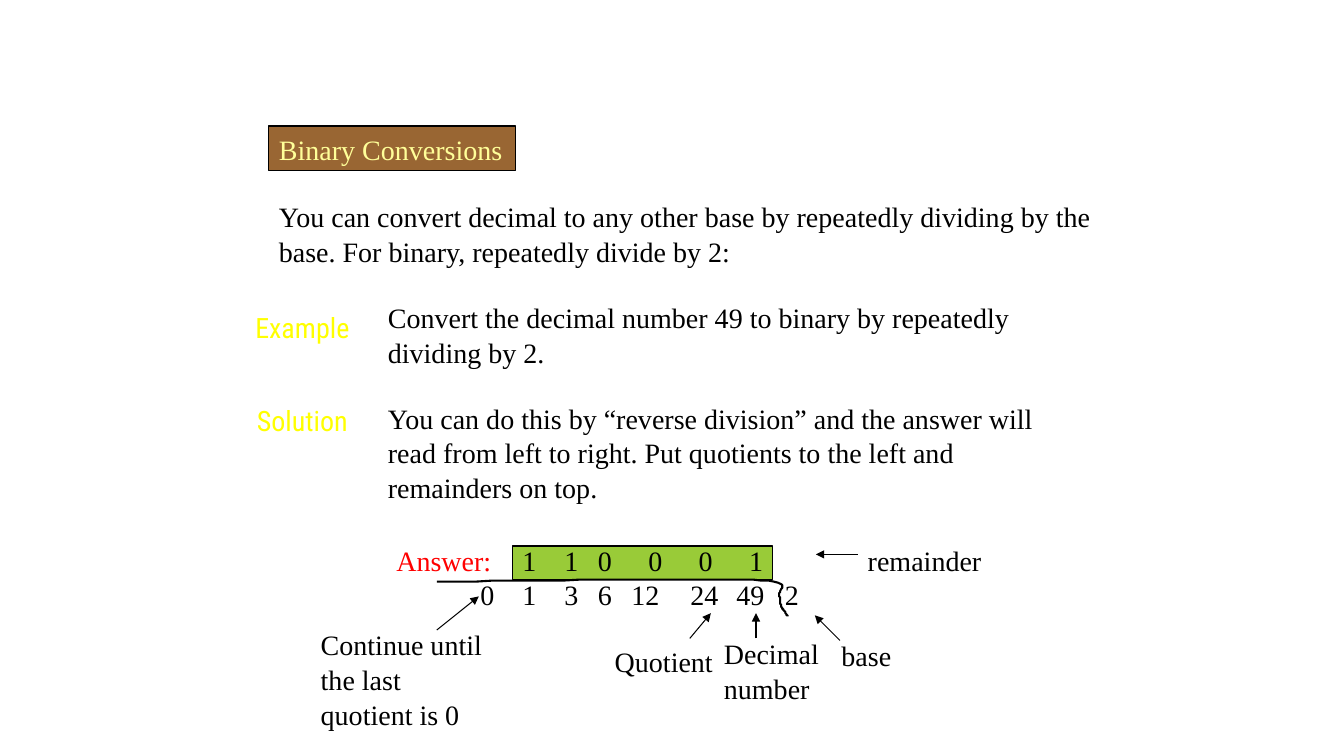
from dataclasses import dataclass

from lxml.etree import SubElement
from pptx import Presentation
from pptx.dml.color import RGBColor
from pptx.enum.shapes import MSO_CONNECTOR, MSO_SHAPE
from pptx.enum.text import MSO_ANCHOR, MSO_AUTO_SIZE, PP_ALIGN
from pptx.oxml.ns import qn
from pptx.util import Pt

PX = 9525  # EMU in one px, 96 px to the inch


@dataclass(frozen=True)
class Theme:
    ink: str = "000000"
    answer: str = "FF0000"
    heading: str = "FFFF00"
    title: str = "FFFF99"
    title_fill: str = "996633"
    answer_fill: str = "99CB38"
    serif: str = "Times New Roman"
    condensed: str = "Roboto Condensed"
    size: int = 20
    thin: float = 0.75
    thick: float = 1.5


THEME = Theme()


def write(shape, text, *, color=THEME.ink, font=THEME.serif, wrap=True,
          align=PP_ALIGN.LEFT, anchor=MSO_ANCHOR.TOP):
    frame = shape.text_frame
    frame.word_wrap = wrap
    frame.auto_size = MSO_AUTO_SIZE.NONE
    frame.vertical_anchor = anchor
    para = frame.paragraphs[0]
    para.alignment = align
    para.line_spacing = 1.04
    para.space_before = Pt(0)
    span = para.add_run()
    span.text = text
    span.font.name = font
    span.font.size = Pt(THEME.size)
    span.font.color.rgb = RGBColor.from_string(color)
    return para


def curve_points(start, segments, steps=12):
    """Points along a chain of cubic Bezier segments."""
    points = [start]
    for first, second, end in segments:
        for step in range(1, steps + 1):
            t = step / steps
            u = 1 - t
            points.append(tuple(
                u**3 * a + 3 * u * u * t * b + 3 * u * t * t * c + t**3 * d
                for a, b, c, d in zip(start, first, second, end)))
        start = end
    return points


class SlideBuilder:
    def __init__(self, page, theme):
        self.page = page
        self.theme = theme

    def place(self, shape, left, top, width, height):
        shape.left, shape.top, shape.width, shape.height = (
            value * PX for value in (left, top, width, height))

    def outline(self, shape, weight):
        shape.line.color.rgb = RGBColor.from_string(self.theme.ink)
        shape.line.width = Pt(weight)

    def paint(self, shape, color):
        shape.fill.solid()
        shape.fill.fore_color.rgb = RGBColor.from_string(color)
        self.outline(shape, self.theme.thin)

    def title(self, text, *bounds):
        shape = self.page.shapes.title
        self.place(shape, *bounds)
        self.paint(shape, self.theme.title_fill)
        write(shape, text, color=self.theme.title, wrap=False)

    def body(self, text, *bounds):
        shape = self.page.placeholders[1]
        self.place(shape, *bounds)
        properties = write(shape, text)._p.get_or_add_pPr()
        properties.set("marL", "0")
        properties.set("indent", "0")
        SubElement(properties, qn("a:buNone"))

    def text(self, text, left, top, width, height, **style):
        box = self.page.shapes.add_textbox(
            left * PX, top * PX, width * PX, height * PX)
        write(box, text, **style)

    def panel(self, left, top, width, height, color):
        shape = self.page.shapes.add_shape(
            MSO_SHAPE.RECTANGLE, left * PX, top * PX, width * PX, height * PX)
        shape.shadow.inherit = False
        self.paint(shape, color)

    def curve(self, start, segments):
        first, *rest = curve_points(start, segments)
        builder = self.page.shapes.build_freeform(*first, scale=PX)
        builder.add_line_segments(rest, close=False)
        shape = builder.convert_to_shape()
        shape.shadow.inherit = False
        shape.fill.background()
        self.outline(shape, self.theme.thick)

    def arrow(self, *ends):
        line = self.page.shapes.add_connector(
            MSO_CONNECTOR.STRAIGHT, *(value * PX for value in ends))
        self.outline(line, self.theme.thin)
        SubElement(line.line._get_or_add_ln(), qn("a:tailEnd"), type="triangle")
        SubElement(line._element.spPr, qn("a:effectLst"))


def main():
    deck = Presentation()
    deck.slide_width, deck.slide_height = 1280 * PX, 720 * PX
    page = deck.slides.add_slide(deck.slide_layouts[1])
    slide = SlideBuilder(page, THEME)

    # Title and introduction
    slide.title("Binary Conversions", 256, 120, 235, 42)
    slide.body("You can convert decimal to any other base by repeatedly dividing "
               "by the base. For binary, repeatedly divide by 2:", 256, 184, 800, 74)

    # Example and solution
    for heading, top in (("Example", 288), ("Solution", 376)):
        slide.text(heading, 224, top, 128, 47, color=THEME.heading,
                   font=THEME.condensed, wrap=False, align=PP_ALIGN.CENTER,
                   anchor=MSO_ANCHOR.MIDDLE)
    slide.text("Convert the decimal number 49 to binary by repeatedly dividing by 2.",
               360, 280, 696, 74)
    slide.text("You can do this by “reverse division” and the answer will read from "
               "left to right. Put quotients to the left and remainders on top.",
               360, 376, 672, 106)

    # Remainders over quotients
    slide.panel(488, 520, 248, 32, THEME.answer_fill)
    slide.text("Answer:", 368, 512, 128, 42, color=THEME.answer)
    remainders = zip("110001", (488, 528, 560, 608, 656, 704))
    quotients = zip(("0", "1", "3", "6", "12", "24", "49", "2"),
                    (448, 488, 528, 560, 592, 648, 692, 738))
    for top, digits in ((512, remainders), (544, quotients)):
        for digit, left in digits:
            slide.text(digit, left, top, 56, 42)

    # Division bracket
    slide.curve((750, 587), [
        ((749, 585), (745, 580), (744, 577)),
        ((742, 574), (744, 571), (742, 567)),
        ((739, 564), (756, 556), (732, 553)),
        ((708, 551), (651, 552), (599, 552)),
        ((546, 552), (454, 554), (416, 554)),
    ])

    # Labels and their arrows
    labels = [
        ("remainder", (817, 512, 131, 42), (817, 528, 777, 528)),
        ("Continue until the last quotient is 0", (296, 592, 176, 106),
         (416, 600, 456, 568)),
        ("Quotient", (576, 608, 141, 42), (657, 608, 677, 584)),
        ("Decimal number", (680, 600, 144, 74), (720, 608, 720, 584)),
        ("base", (792, 602, 104, 42), (800, 610, 776, 586)),
    ]
    for label, bounds, ends in labels:
        slide.text(label, *bounds)
        slide.arrow(*ends)

    deck.save("out.pptx")


if __name__ == "__main__":
    main()
